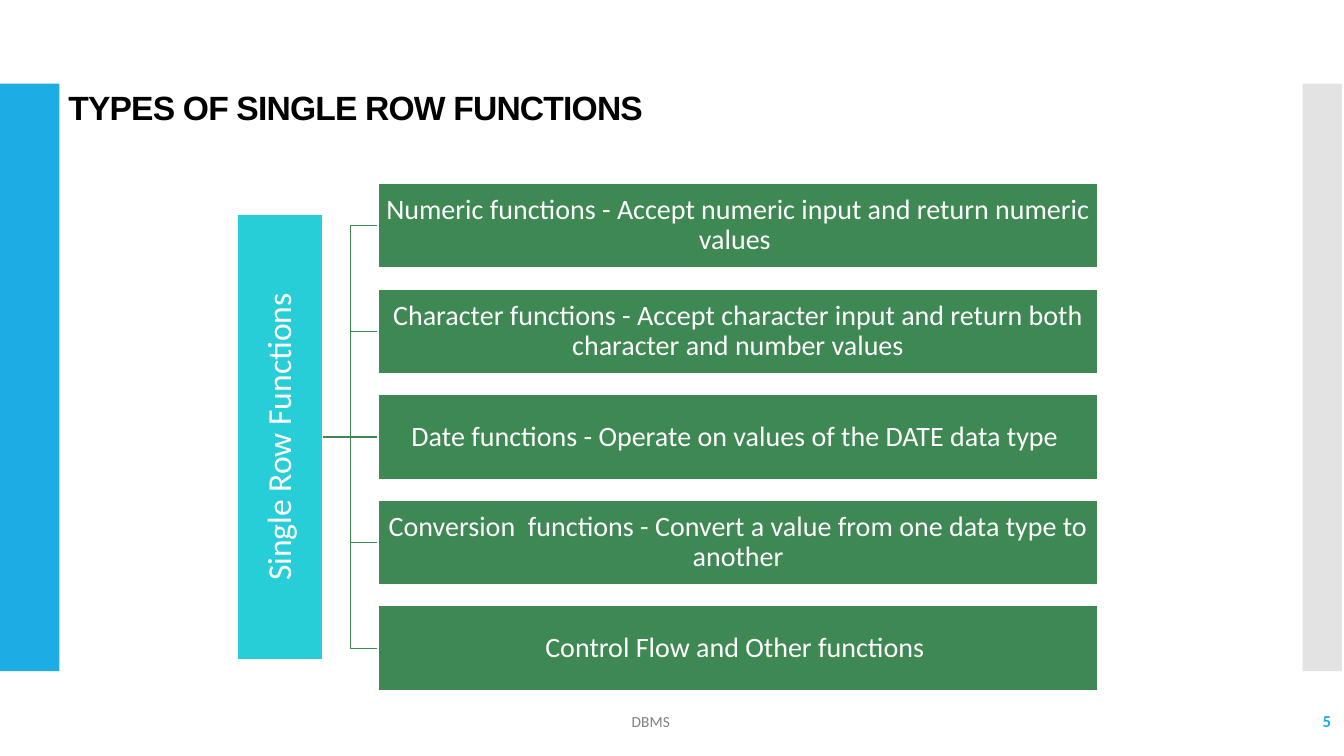
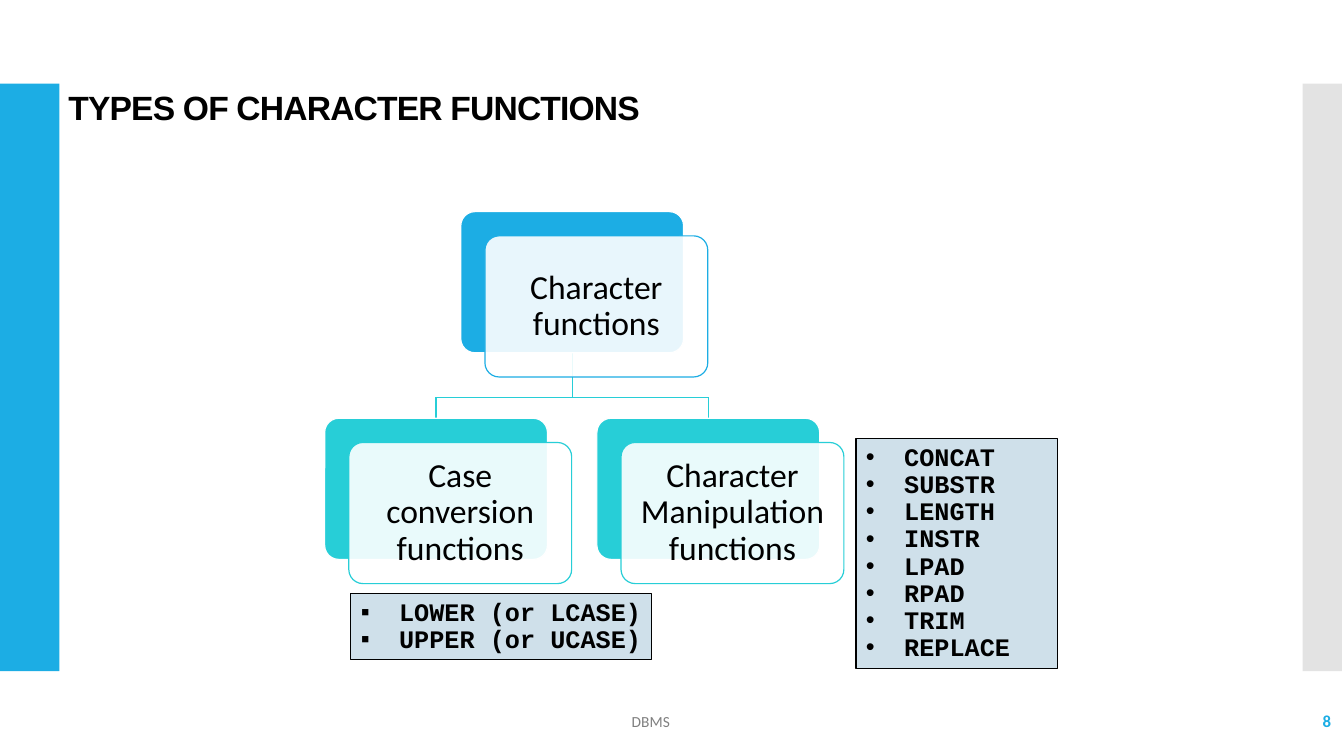
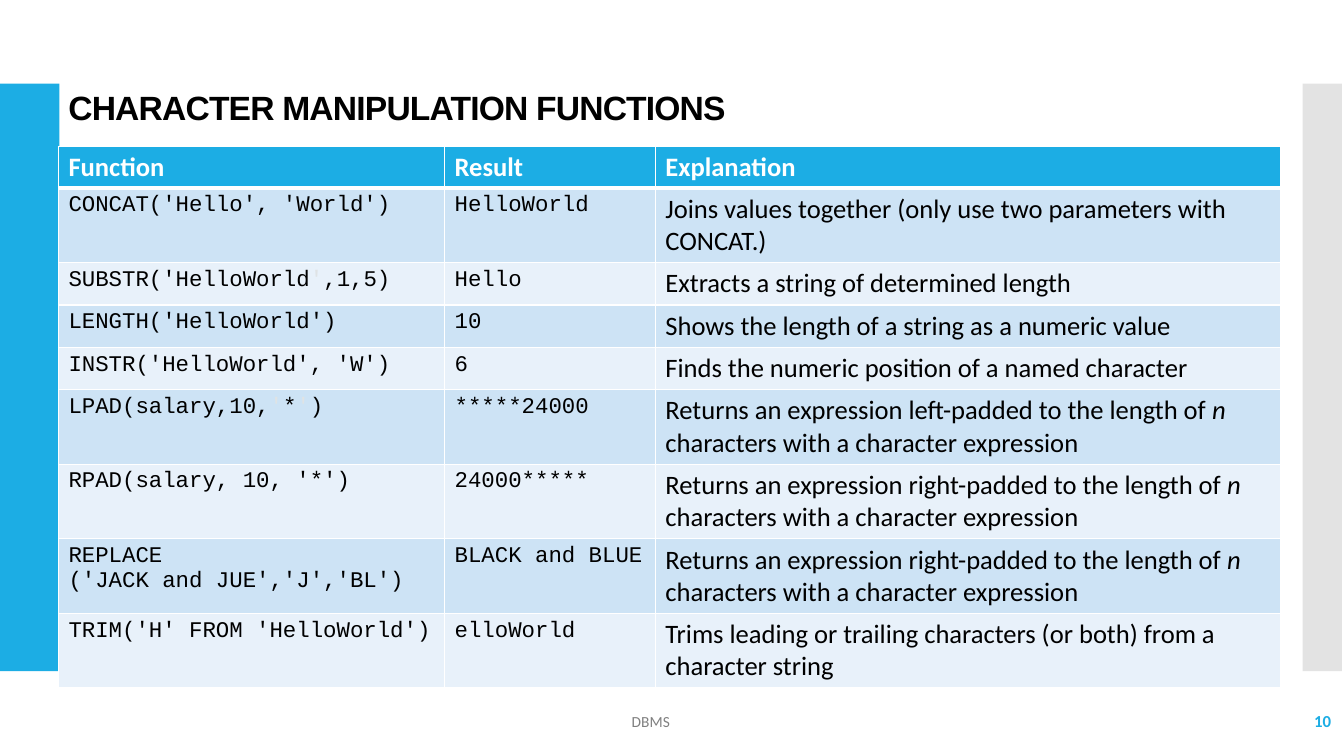
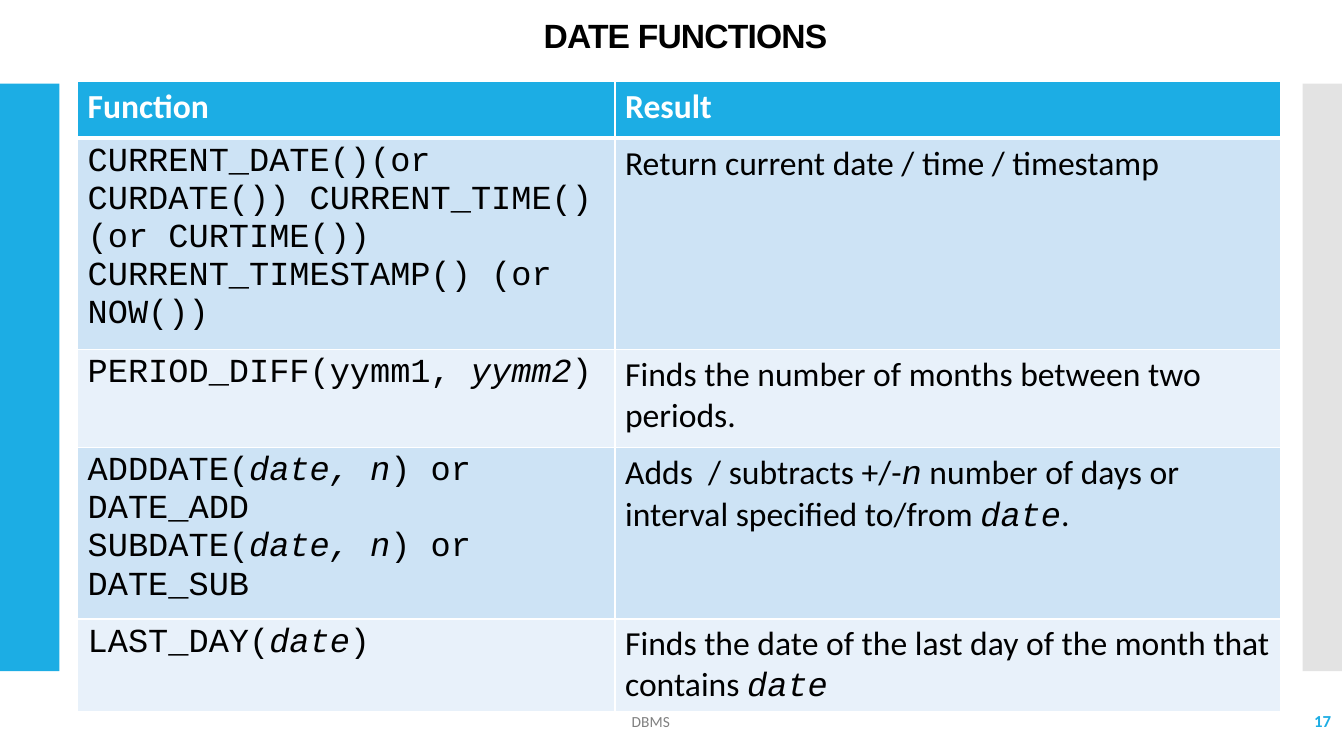
from dataclasses import dataclass, replace

from lxml.etree import SubElement
from pptx import Presentation
from pptx.dml.color import RGBColor
from pptx.enum.shapes import MSO_CONNECTOR, MSO_SHAPE
from pptx.enum.text import MSO_ANCHOR, PP_ALIGN
from pptx.oxml import parse_xml
from pptx.oxml.ns import nsdecls, qn
from pptx.util import Inches, Pt


@dataclass(frozen=True)
class Type:
    font: str
    size: int
    color: str
    bold: bool = False
    italic: bool = False
    tracking: int = 0


@dataclass(frozen=True)
class Theme:
    blue: str = "1CADE4"
    teal: str = "27CED7"
    green: str = "3E8853"
    white: str = "FFFFFF"
    black: str = "000000"
    band_grey: str = "C8C8C8"
    list_fill: str = "CFE0EA"
    row_fills: tuple = ("CDE3F5", "E8F1FA")
    hairline: float = 0.85
    title: Type = Type("Arial", 24, "000000", bold=True, tracking=-60)
    footer: Type = Type("Calibri", 11, "808080")
    page: Type = Type("Calibri", 12, "1CADE4", bold=True)
    root: Type = Type("Calibri", 24, "FFFFFF")
    branch: Type = Type("Calibri", 20, "FFFFFF")
    card: Type = Type("Calibri", 24, "000000")
    names: Type = Type("Courier New", 18, "000000", bold=True)
    small_head: Type = Type("Calibri", 19, "FFFFFF", bold=True)
    small_code: Type = Type("Courier New", 16, "000000")
    small_body: Type = Type("Calibri", 19, "000000")
    large_head: Type = Type("Calibri", 24, "FFFFFF", bold=True)
    large_code: Type = Type("Courier New", 24, "000000")
    large_body: Type = Type("Calibri", 24, "000000")


THEME = Theme()
FAINT = replace(THEME.small_code, color="DFE3E5")
SMALL_ITALIC = replace(THEME.small_body, italic=True)
LARGE_ITALIC = replace(THEME.large_code, italic=True)


def rgb(color):
    return RGBColor.from_string(color)


def write(frame, paragraphs, style, align=PP_ALIGN.LEFT, spacing=None, bullet=None):
    """Fill a frame; a paragraph is a string or a list of strings and (text, Type) runs."""
    frame.word_wrap = True
    for index, runs in enumerate(paragraphs):
        paragraph = frame.add_paragraph() if index else frame.paragraphs[0]
        paragraph.alignment = align
        if spacing:
            paragraph.line_spacing = spacing
        if bullet:
            add_bullet(paragraph, bullet)
        for item in [runs] if isinstance(runs, str) else runs:
            text, run_style = (item, style) if isinstance(item, str) else item
            for line_number, line in enumerate(text.split("\n")):
                if line_number:
                    paragraph.add_line_break()
                add_run(paragraph, line, run_style)


def add_run(paragraph, text, style):
    run = paragraph.add_run()
    run.text = text
    font = run.font
    font.name, font.size = style.font, Pt(style.size)
    font.bold, font.italic = style.bold, style.italic
    font.color.rgb = rgb(style.color)
    if style.tracking:
        run._r.get_or_add_rPr().set("spc", str(style.tracking))


def add_bullet(paragraph, bullet, indent=Inches(0.38)):
    properties = paragraph._p.get_or_add_pPr()
    properties.set("marL", str(indent))
    properties.set("indent", str(-indent))
    SubElement(properties, qn("a:buFont")).set("typeface", "Arial")
    SubElement(properties, qn("a:buChar")).set("char", bullet)


def set_insets(frame, across, down):
    frame.margin_left = frame.margin_right = Inches(across)
    frame.margin_top = frame.margin_bottom = Inches(down)


def add_label(slide, box, text, style, align, anchor=MSO_ANCHOR.MIDDLE, spacing=None):
    frame = slide.shapes.add_textbox(*map(Inches, box)).text_frame
    frame.vertical_anchor = anchor
    write(frame, [text], style, align, spacing)


def add_block(slide, box, fill, line=None, width=THEME.hairline, opacity=100, radius=None):
    preset = MSO_SHAPE.ROUNDED_RECTANGLE if radius else MSO_SHAPE.RECTANGLE
    block = slide.shapes.add_shape(preset, *map(Inches, box))
    block.shadow.inherit = False
    if radius:
        block.adjustments[0] = radius
    block.fill.solid()
    block.fill.fore_color.rgb = rgb(fill)
    if opacity < 100:
        color = block._element.spPr.find(qn("a:solidFill"))[0]
        SubElement(color, qn("a:alpha")).set("val", str(opacity * 1000))
    if line:
        block.line.color.rgb = rgb(line)
        block.line.width = Pt(width)
    else:
        block.line.fill.background()
    return block


def add_link(slide, start, end, color, kind=MSO_CONNECTOR.STRAIGHT):
    link = slide.shapes.add_connector(kind, *map(Inches, (*start, *end)))
    link.line.color.rgb = rgb(color)
    link.line.width = Pt(THEME.hairline)
    SubElement(link._element.spPr, qn("a:effectLst"))


def add_base_slide(deck, title, page, title_at=(0.58, 0.86), title_align=PP_ALIGN.LEFT):
    """Add a slide with the side bands, title, footer and page number."""
    slide = deck.slides.add_slide(deck.slide_layouts[6])
    add_block(slide, (0, 0.83, 0.59, 5.83), THEME.blue)
    add_block(slide, (12.92, 0.83, 0.39, 5.83), THEME.band_grey, opacity=50)
    add_label(slide, (*title_at, 10.44, 0.4), title, THEME.title, title_align,
              MSO_ANCHOR.TOP, 0.9)
    add_label(slide, (3.29, 6.96, 6.33, 0.39), "DBMS", THEME.footer, PP_ALIGN.CENTER)
    add_label(slide, (11.63, 6.95, 1.67, 0.4), str(page), THEME.page, PP_ALIGN.RIGHT)
    return slide


def add_bracket_tree(slide, box, root, branches):
    """Draw an upright root bar linked to a column of equally spaced branches."""
    left, top, width, height = box
    bar, root_length, gap = 0.84, 4.41, 0.55
    middle = top + height / 2
    branch_left = left + bar + gap
    step = (height - bar) / (len(branches) - 1)
    tops = [top + index * step for index in range(len(branches))]

    for branch_top in tops:
        end = (branch_left, branch_top + bar / 2)
        straight = abs(end[1] - middle) < 0.01
        add_link(slide, (left + bar, middle), end, THEME.green,
                 MSO_CONNECTOR.STRAIGHT if straight else MSO_CONNECTOR.ELBOW)

    root_box = (left + (bar - root_length) / 2, middle - bar / 2, root_length, bar)
    root_block = add_block(slide, root_box, THEME.teal, THEME.white)
    root_block.rotation = 270
    set_insets(root_block.text_frame, 0.02, 0.02)
    write(root_block.text_frame, [root], THEME.root, PP_ALIGN.CENTER, 0.9)

    for branch_top, text in zip(tops, branches):
        branch_box = (branch_left, branch_top, width - bar - gap, bar)
        frame = add_block(slide, branch_box, THEME.green, THEME.white).text_frame
        set_insets(frame, 0.01, 0.01)
        write(frame, [text], THEME.branch, PP_ALIGN.CENTER, 0.9)


def add_card(slide, box, text, color):
    """Draw a coloured card with a translucent text card offset over it."""
    left, top, width, height = box
    add_block(slide, box, color, THEME.white, radius=0.1)
    front_box = (left + 0.24, top + 0.24, width, height)
    front = add_block(slide, front_box, THEME.white, color, opacity=90, radius=0.1)
    set_insets(front.text_frame, 0.14, 0.14)
    write(front.text_frame, [text], THEME.card, PP_ALIGN.CENTER, 0.9)


def add_card_tree(slide, box, root, children):
    left, top, width, _ = box
    card_width, card_height, level = 2.21, 1.4, 2.05
    step = (width - card_width) / (len(children) - 1)
    lefts = [left + index * step for index in range(len(children))]
    centers = [child_left + card_width / 2 for child_left in lefts]
    root_left = left + (width - card_width) / 2
    root_center = root_left + card_width / 2
    child_top = top + level
    rail = child_top - 0.21

    add_link(slide, (root_center, top + card_height), (root_center, rail), THEME.teal)
    add_link(slide, (centers[0], rail), (centers[-1], rail), THEME.teal)
    for center in centers:
        add_link(slide, (center, rail), (center, child_top), THEME.teal)

    add_card(slide, (root_left, top, card_width, card_height), root, THEME.blue)
    for child_left, text in zip(lefts, children):
        add_card(slide, (child_left, child_top, card_width, card_height), text, THEME.teal)


def add_name_list(slide, box, names, bullet):
    frame = add_block(slide, box, THEME.list_fill, THEME.black, 0.75).text_frame
    set_insets(frame, 0.1, 0.05)
    write(frame, names, THEME.names, spacing=0.9, bullet=bullet)


def set_borders(cell, widths):
    properties = cell._tc.get_or_add_tcPr()
    for index, (side, width) in enumerate(widths.items()):
        properties.insert(index, parse_xml(
            f'<a:ln{side} {nsdecls("a")} w="{Pt(width)}"><a:solidFill>'
            f'<a:srgbClr val="{THEME.white}"/></a:solidFill></a:ln{side}>'))


def add_function_table(slide, corner, widths, heights, header, rows, head_style, styles):
    """Add a banded table; a cell is a list of paragraphs, one text style per column."""
    size = (sum(widths), sum(heights))
    table = slide.shapes.add_table(len(heights), len(widths),
                                   *map(Inches, (*corner, *size))).table
    for column, width in zip(table.columns, widths):
        column.width = Inches(width)
    for row, height in zip(table.rows, heights):
        row.height = Inches(height)
    for row_index, contents in enumerate([[[name] for name in header], *rows]):
        fill = THEME.row_fills[(row_index - 1) % 2] if row_index else THEME.blue
        for column_index, paragraphs in enumerate(contents):
            cell = table.cell(row_index, column_index)
            cell.fill.solid()
            cell.fill.fore_color.rgb = rgb(fill)
            set_borders(cell, {"L": 1, "R": 1, "T": 3 if row_index == 1 else 1,
                               "B": 1 if row_index else 3})
            write(cell.text_frame, paragraphs,
                  styles[column_index] if row_index else head_style)


def padded(side):
    return [[f"Returns an expression {side}-padded to the length of ", ("n ", SMALL_ITALIC),
             "characters with a character expression"]]


MANIPULATION_ROWS = [
    [["CONCAT('Hello', 'World')"], ["HelloWorld"],
     ["Joins values together (only use two parameters with CONCAT.)"]],
    [[["SUBSTR('HelloWorld", ("'", FAINT), ",1,5)"]], ["Hello"],
     ["Extracts a string of determined length"]],
    [["LENGTH('HelloWorld')"], ["10"], ["Shows the length of a string as a numeric value"]],
    [["INSTR('HelloWorld', 'W')"], ["6"], ["Finds the numeric position of a named character"]],
    [[["LPAD(salary,10,", ("'", FAINT), "*", ("'", FAINT), ")"]], ["*****24000"],
     padded("left")],
    [["RPAD(salary, 10, '*')"], ["24000*****"], padded("right")],
    [["REPLACE\n('JACK and JUE','J','BL')"], ["BLACK and BLUE"], padded("right")],
    [["TRIM('H' FROM 'HelloWorld')"], ["elloWorld"],
     ["Trims leading or trailing characters (or both) from a character string"]],
]

DATE_ROWS = [
    [["CURRENT_DATE()(or CURDATE()) CURRENT_TIME() (or CURTIME())",
      "CURRENT_TIMESTAMP() (or NOW())"],
     ["Return current date / time / timestamp"]],
    [[["PERIOD_DIFF(yymm1, ", ("yymm2", LARGE_ITALIC), ")"]],
     ["Finds the number of months between two periods."]],
    [[["ADDDATE(", ("date, n", LARGE_ITALIC), ") or DATE_ADD"],
      ["SUBDATE(", ("date, n", LARGE_ITALIC), ") or DATE_SUB"]],
     [["Adds  / subtracts +/-", ("n", LARGE_ITALIC),
       " number of days or interval specified to/from ", ("date", LARGE_ITALIC), "."]]],
    [[["LAST_DAY(", ("date", LARGE_ITALIC), ")"]],
     [["Finds the date of the last day of the month that contains ",
       ("date", LARGE_ITALIC)]]],
]


def add_single_row_slide(deck):
    slide = add_base_slide(deck, "TYPES OF SINGLE ROW FUNCTIONS", 5)
    add_bracket_tree(slide, (2.36, 1.82, 8.53, 5.03), "Single Row Functions", [
        "Numeric functions - Accept numeric input and return numeric values ",
        "Character functions - Accept character input and return both character and "
        "number values",
        "Date functions - Operate on values of the DATE data type ",
        "Conversion  functions - Convert a value from one data type to another",
        "Control Flow and Other functions ",
    ])


def add_character_types_slide(deck):
    slide = add_base_slide(deck, "TYPES OF CHARACTER FUNCTIONS", 8)
    add_card_tree(slide, (3.22, 2.1, 4.91, 3.45), "Character functions",
                  ["Case conversion functions", "Character Manipulation functions"])
    add_name_list(slide, (8.49, 4.35, 2, 2.28),
                  ["CONCAT", "SUBSTR", "LENGTH", "INSTR", "LPAD", "RPAD", "TRIM", "REPLACE"],
                  "•")
    add_name_list(slide, (3.48, 5.89, 2.98, 0.65),
                  ["LOWER (or LCASE)", "UPPER (or UCASE)"], "▪")


def add_manipulation_slide(deck):
    slide = add_base_slide(deck, "CHARACTER MANIPULATION FUNCTIONS", 10)
    one_line, two_lines = 0.42, 0.74
    heights = [0.41, two_lines, *[one_line] * 3, *[two_lines] * 4]
    add_function_table(slide, (0.58, 1.45), [3.83, 2.09, 6.2], heights,
                       ["Function", "Result", "Explanation"], MANIPULATION_ROWS,
                       THEME.small_head,
                       [THEME.small_code, THEME.small_code, THEME.small_body])


def add_date_slide(deck):
    slide = add_base_slide(deck, "DATE FUNCTIONS ", 17, (1.62, 0.14), PP_ALIGN.CENTER)
    add_function_table(slide, (0.77, 0.81), [5.33, 6.6], [0.56, 1.99, 0.97, 1.61, 0.92],
                       ["Function", "Result"], DATE_ROWS, THEME.large_head,
                       [THEME.large_code, THEME.large_body])


def main():
    deck = Presentation()
    deck.slide_width, deck.slide_height = Inches(13.33), Inches(7.5)
    add_single_row_slide(deck)
    add_character_types_slide(deck)
    add_manipulation_slide(deck)
    add_date_slide(deck)
    deck.save("out.pptx")


if __name__ == "__main__":
    main()
